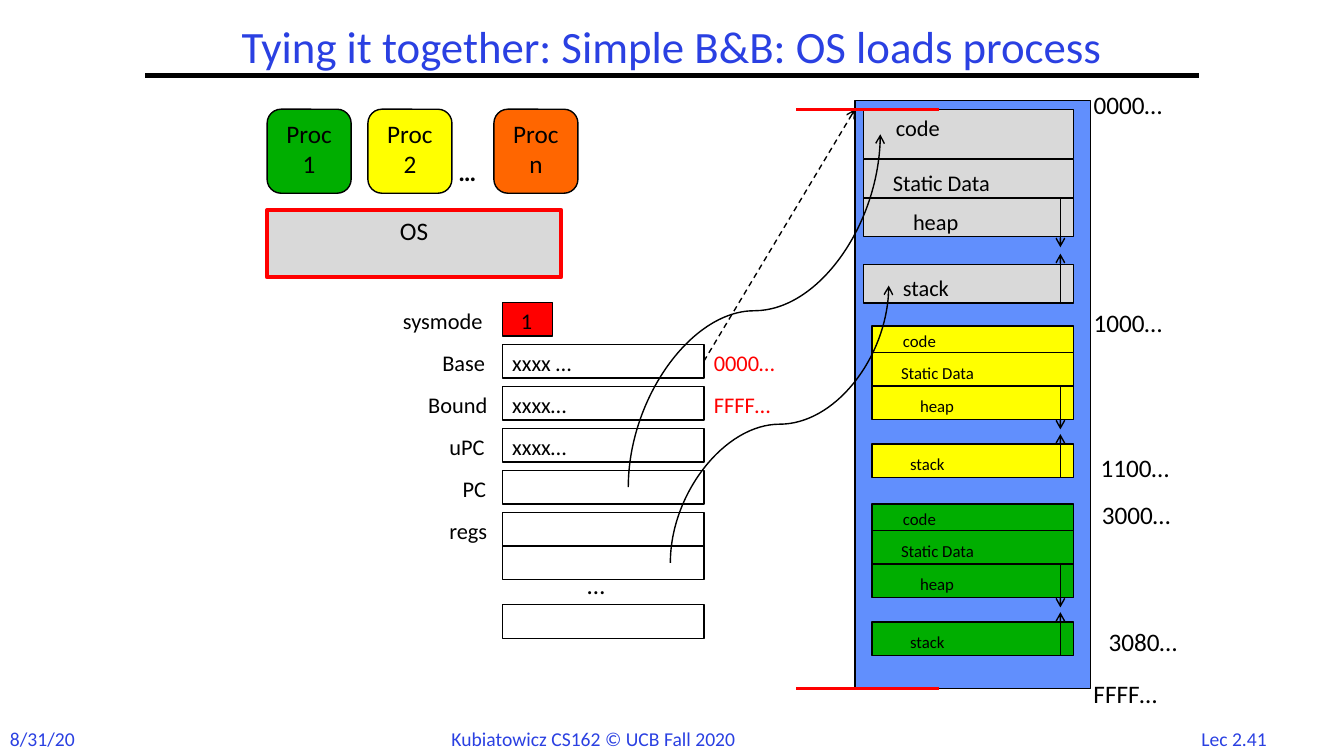
"""Build the slide on how an operating system loads a process with base and bound."""
from dataclasses import dataclass
from typing import Optional

from lxml.etree import SubElement
from pptx import Presentation
from pptx.dml.color import RGBColor
from pptx.enum.dml import MSO_LINE
from pptx.enum.shapes import MSO_CONNECTOR, MSO_SHAPE
from pptx.enum.text import MSO_ANCHOR, MSO_AUTO_SIZE, PP_ALIGN
from pptx.oxml.ns import qn
from pptx.util import Emu, Inches, Pt

COLORS = {
    "black": "000000", "blue": "2A40E2", "memory": "618FFD", "grey": "D9D9D9",
    "red": "FF0000", "green": "00AE00", "yellow": "FFFF00", "orange": "FF6600",
}
FONT = "Calibri"
CELL = Inches(1 / 12)
LABEL_ROWS = {12: 3.6, 14: 4.08, 16: 4.4, 18: 4.8}


@dataclass
class Label:
    text: str
    column: float
    row: float
    columns: float
    size: int = 16
    color: str = "black"
    bold: bool = False


@dataclass
class Box:
    column: float
    row: float
    columns: float
    rows: float
    fill: Optional[str] = None
    line: str = "black"
    weight: float = 1
    text: str = ""
    preset: MSO_SHAPE = MSO_SHAPE.RECTANGLE


@dataclass
class Line:
    start: tuple
    end: tuple
    color: str = "black"
    weight: float = 1
    arrow: bool = False
    dashed: bool = False


@dataclass
class Segment:
    text: str
    row: float
    rows: float
    label_column: float
    label_row: float
    label_columns: float


@dataclass
class Program:
    column: float
    row: float
    columns: float
    fill: str
    size: int
    arrow_rows: float
    segments: list


LARGE_SEGMENTS = [
    Segment("code", 0, 5.88, 105.48, 0, 8.28),
    Segment("Static Data", 5.96, 4.6, 105.12, 0.6, 15.6),
    Segment("heap", 10.56, 4.6, 107.52, 0.6, 8.4),
    Segment("stack", 18.48, 4.6, 106.32, 0.6, 8.76),
]
SMALL_SEGMENTS = [
    Segment("code", 0, 3.16, 106.32, 0, 6.72),
    Segment("Static Data", 3.16, 4, 106.08, 0.6, 12.24),
    Segment("heap", 7.16, 4, 108.36, 0.6, 6.84),
    Segment("stack", 14.04, 4, 107.16, 0.6, 7.08),
]
PROGRAMS = [
    Program(102.8, 13, 25, "grey", 16, 5.88, LARGE_SEGMENTS),
    Program(103.8, 38.8, 24, "yellow", 12, 5.16, SMALL_SEGMENTS),
    Program(103.8, 60, 24, "green", 12, 5.16, SMALL_SEGMENTS),
]
PROCESSES = [("Proc 1", 31.8, "green"), ("Proc 2", 43.8, "yellow"), ("Proc n", 58.8, "orange")]
REGISTER_ROWS = [41, 46, 51, 56, 61, 65, 72]
LABELS = [
    Label("Lec 2.41", 141.84, 85.92, 11.64, 14, "blue"),
    Label("8/31/20", 0, 85.92, 10.2, 14, "blue"),
    Label("Kubiatowicz CS162 © UCB Fall 2020", 52.56, 85.92, 41.16, 14, "blue"),
    Label("…", 53.4, 18, 5.4, 18, bold=True),
    Label("0000…", 129, 10, 12.24, 18),
    Label("FFFF…", 129, 80.2, 12.84, 18),
    Label("1000…", 129, 36, 12.24, 18),
    Label("1100…", 129.84, 53.2, 12, 18),
    Label("3000…", 130, 58.8, 12.24, 18),
    Label("3080…", 130.8, 74, 12.24, 18),
    Label("sysmode", 46.8, 36, 13.2),
    Label("1", 60.84, 36, 3.96),
    Label("Base", 51.48, 41, 8.52),
    Label("Bound", 49.8, 46, 10.2),
    Label("uPC", 52.32, 51, 7.68),
    Label("PC", 53.88, 56, 6.12),
    Label("regs", 52.32, 61, 7.68),
    Label("xxxx …", 59.8, 41, 11.28),
    Label("xxxx…", 59.8, 46, 10.56),
    Label("xxxx…", 59.8, 51, 10.56),
    Label("…", 68.76, 67.2, 5.4, 18),
    Label("0000…", 83.8, 41, 11.04, color="red"),
    Label("FFFF…", 83.8, 46, 11.64, color="red"),
]


def grid(cells: float) -> Emu:
    return Emu(round(cells * CELL))


def paint(name: str) -> RGBColor:
    return RGBColor.from_string(COLORS[name])


def add_span(para, text: str, size: int, color: str = "black", bold: bool = False) -> None:
    span = para.add_run()
    span.text = text
    span.font.name, span.font.size, span.font.bold = FONT, Pt(size), bold
    span.font.color.rgb = paint(color)


def draw_label(page, label: Label) -> None:
    box = page.shapes.add_textbox(grid(label.column), grid(label.row),
                                  grid(label.columns), grid(LABEL_ROWS[label.size]))
    box.text_frame.word_wrap = False
    box.text_frame.auto_size = MSO_AUTO_SIZE.SHAPE_TO_FIT_TEXT
    add_span(box.text_frame.paragraphs[0], label.text, label.size, label.color, label.bold)


def draw_box(page, box: Box):
    shape = page.shapes.add_shape(box.preset, grid(box.column), grid(box.row),
                                  grid(box.columns), grid(box.rows))
    shape.shadow.inherit = False
    if box.fill:
        shape.fill.solid()
        shape.fill.fore_color.rgb = paint(box.fill)
    else:
        shape.fill.background()
    shape.line.color.rgb = paint(box.line)
    shape.line.width = Pt(box.weight)
    if box.text:
        shape.text_frame.vertical_anchor = MSO_ANCHOR.TOP
        para = shape.text_frame.paragraphs[0]
        para.alignment = PP_ALIGN.CENTER
        add_span(para, box.text, 18)
    return shape


def draw_line(page, line: Line, kind: MSO_CONNECTOR = MSO_CONNECTOR.STRAIGHT):
    connector = page.shapes.add_connector(kind, *map(grid, line.start + line.end))
    connector.line.color.rgb = paint(line.color)
    connector.line.width = Pt(line.weight)
    if line.dashed:
        connector.line.dash_style = MSO_LINE.DASH
    if line.arrow:
        SubElement(connector.line._get_or_add_ln(), qn("a:tailEnd"), type="arrow")
    SubElement(connector._element.spPr, qn("a:effectLst"))
    return connector


def draw_rising_curve(page, start: tuple, end: tuple) -> None:
    middle_x, middle_y = (start[0] + end[0]) / 2, (start[1] + end[1]) / 2
    half_width, half_height = (end[0] - start[0]) / 2, (start[1] - end[1]) / 2
    turned = Line((middle_x + half_height, middle_y + half_width),
                  (middle_x - half_height, middle_y - half_width), arrow=True)
    curve = draw_line(page, turned, MSO_CONNECTOR.CURVE)
    curve._element.spPr.find(qn("a:xfrm")).set("rot", "5400000")


def draw_program(page, program: Program) -> None:
    for segment in program.segments:
        row = program.row + segment.row
        draw_box(page, Box(program.column, row, program.columns, segment.rows, program.fill))
        draw_label(page, Label(segment.text, segment.label_column, row + segment.label_row,
                               segment.label_columns, program.size))
    heap, stack = program.segments[2:]
    heap_top = program.row + heap.row
    stack_bottom = program.row + stack.row + stack.rows
    for row, growth in ((stack_bottom, -program.arrow_rows), (heap_top, program.arrow_rows)):
        draw_line(page, Line((126.24, row), (126.24, row + growth), arrow=True))


def draw_title(page, text: str) -> None:
    title = page.shapes.title
    title.left, title.top, title.width, title.height = map(grid, (21, 1, 118, 9.7))
    title.text_frame.auto_size = MSO_AUTO_SIZE.NONE
    title.text_frame.vertical_anchor = MSO_ANCHOR.MIDDLE
    para = title.text_frame.paragraphs[0]
    para.alignment, para.line_spacing = PP_ALIGN.CENTER, 0.9
    add_span(para, text, 32, "blue")


def main() -> None:
    deck = Presentation()
    deck.slide_width, deck.slide_height = grid(160), grid(90)
    page = deck.slides.add_slide(deck.slide_layouts[5])
    draw_line(page, Line((17.3, 9), (142.7, 9), weight=3))
    draw_title(page, "Tying it together: Simple B&B: OS loads process")
    draw_box(page, Box(31.8, 25, 35, 8, "grey", "red", 3, "OS"))
    for text, column, fill in PROCESSES:
        draw_box(page, Box(column, 13, 10, 10, fill, text=text, preset=MSO_SHAPE.ROUNDED_RECTANGLE))
    draw_box(page, Box(101.8, 12, 28, 70, "memory"))
    for program in PROGRAMS:
        draw_program(page, program)
    draw_box(page, Box(59.8, 36, 6, 4, "red"))
    registers = [draw_box(page, Box(59.8, row, 24, 4)) for row in REGISTER_ROWS]
    pointer = draw_line(page, Line((83.8, 43), (101.8, 13), arrow=True, dashed=True))
    pointer.begin_connect(registers[0], 3)
    for label in LABELS:
        draw_label(page, label)
    for row in (13, 82):
        draw_line(page, Line((94.8, row), (111.8, row), "red", 2.25))
    draw_rising_curve(page, (74.8, 58), (104.8, 16))
    draw_rising_curve(page, (79.8, 67), (105.8, 34))
    deck.save("out.pptx")


if __name__ == "__main__":
    main()
